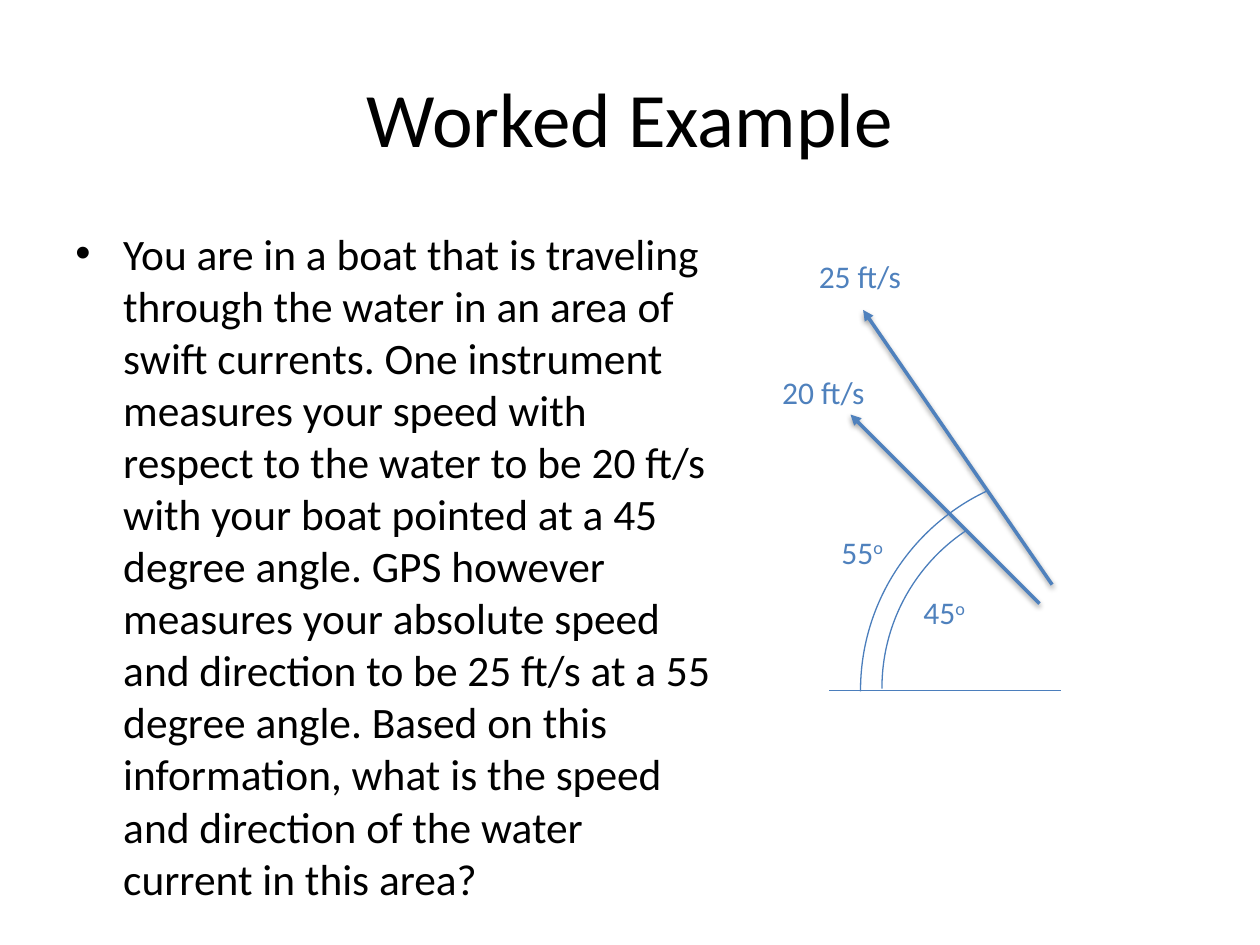
"""Build the worked example slide on boat speed and water current."""
from dataclasses import dataclass

from lxml.etree import SubElement
from pptx import Presentation
from pptx.dml.color import RGBColor
from pptx.enum.shapes import MSO_CONNECTOR, MSO_SHAPE
from pptx.enum.text import MSO_ANCHOR, MSO_AUTO_SIZE, PP_ALIGN
from pptx.oxml.ns import qn
from pptx.util import Inches, Pt


@dataclass(frozen=True)
class Theme:
    font: str = "Calibri"
    ink: RGBColor = RGBColor(0x00, 0x00, 0x00)
    accent: RGBColor = RGBColor(0x4F, 0x81, 0xBD)
    outline: RGBColor = RGBColor(0x4B, 0x7E, 0xBC)
    title_size: float = 44
    body_size: float = 24.8
    label_size: float = 18
    vector_width: float = 2
    outline_width: float = 0.75


theme = Theme()


def write_text(box, text, size, color, align=PP_ALIGN.LEFT, anchor=MSO_ANCHOR.TOP,
               wrap=True, bullet=None, superscript=None):
    frame = box.text_frame
    frame.word_wrap = wrap
    frame.auto_size = MSO_AUTO_SIZE.NONE if wrap else MSO_AUTO_SIZE.SHAPE_TO_FIT_TEXT
    frame.vertical_anchor = anchor
    para = frame.paragraphs[0]
    para.alignment = align
    if bullet:
        properties = para._p.get_or_add_pPr()
        properties.set("marL", str(Inches(0.38)))
        properties.set("indent", str(Inches(-0.38)))
        SubElement(properties, qn("a:buFont"), typeface="Arial")
        SubElement(properties, qn("a:buChar"), char=bullet)
    for piece in filter(None, (text, superscript)):
        span = para.add_run()
        span.text = piece
        span.font.name = theme.font
        span.font.size = Pt(size)
        span.font.color.rgb = color
    if superscript:
        span._r.get_or_add_rPr().set("baseline", "30000")


def add_line(page, start, end, color, width, is_vector):
    line = page.shapes.add_connector(
        MSO_CONNECTOR.STRAIGHT, *(Inches(value) for value in (*start, *end)))
    line.line.color.rgb = color
    line.line.width = Pt(width)
    effects = SubElement(line._element.spPr, qn("a:effectLst"))
    if is_vector:
        SubElement(line.line._get_or_add_ln(), qn("a:tailEnd"), type="triangle")
        shadow = SubElement(effects, qn("a:outerShdw"), blurRad="40000", dist="20000",
                            dir="5400000", rotWithShape="0")
        shade = SubElement(shadow, qn("a:srgbClr"), val=str(theme.ink))
        SubElement(shade, qn("a:alpha"), val="38000")


deck = Presentation()
deck.slide_width, deck.slide_height = Inches(10), Inches(7.5)
page = deck.slides.add_slide(deck.slide_layouts[5])

title = page.shapes.title
title.left, title.top = Inches(0.5), Inches(0.3)
title.width, title.height = Inches(9), Inches(1.25)
write_text(title, "Worked Example", theme.title_size, theme.ink,
           align=PP_ALIGN.CENTER, anchor=MSO_ANCHOR.MIDDLE)

problem = page.shapes.add_textbox(Inches(0.5), Inches(1.75), Inches(5.33), Inches(4.92))
write_text(
    problem,
    "You are in a boat that is traveling through the water in an area of swift currents. "
    "One instrument measures your speed with respect to the water to be 20 ft/s with your "
    "boat pointed at a 45 degree angle. GPS however measures your absolute speed and "
    "direction to be 25 ft/s at a 55 degree angle. Based on this information, what is the "
    "speed and direction of the water current in this area?",
    theme.body_size, theme.ink, bullet="•")

for start, end in (((8.25, 4.79), (6.75, 3.29)), ((8.35, 4.64), (6.85, 2.46))):
    add_line(page, start, end, theme.accent, theme.vector_width, is_vector=True)
add_line(page, (8.42, 5.48), (6.58, 5.48), theme.outline, theme.outline_width, is_vector=False)

units_per_degree = 0.6
for left, top, diameter, end_angle in ((7, 3.96, 3, 236.69), (6.83, 3.73, 3.5, 244.66)):
    arc = page.shapes.add_shape(MSO_SHAPE.ARC, Inches(left), Inches(top),
                                Inches(diameter), Inches(diameter))
    arc.adjustments[0] = 179.76 * units_per_degree
    arc.adjustments[1] = end_angle * units_per_degree
    arc.shadow.inherit = False
    arc.fill.background()
    arc.line.color.rgb = theme.outline
    arc.line.width = Pt(theme.outline_width)

labels = (
    ("45", "o", 7.23, 4.66, 0.55),
    ("55", "o", 6.58, 4.18, 0.55),
    ("20 ft/s", None, 6.11, 2.91, 0.87),
    ("25 ft/s", None, 6.4, 1.99, 0.87),
)
for text, superscript, left, top, width in labels:
    label = page.shapes.add_textbox(Inches(left), Inches(top), Inches(width), Inches(0.4))
    write_text(label, text, theme.label_size, theme.accent, wrap=False, superscript=superscript)

deck.save("out.pptx")
